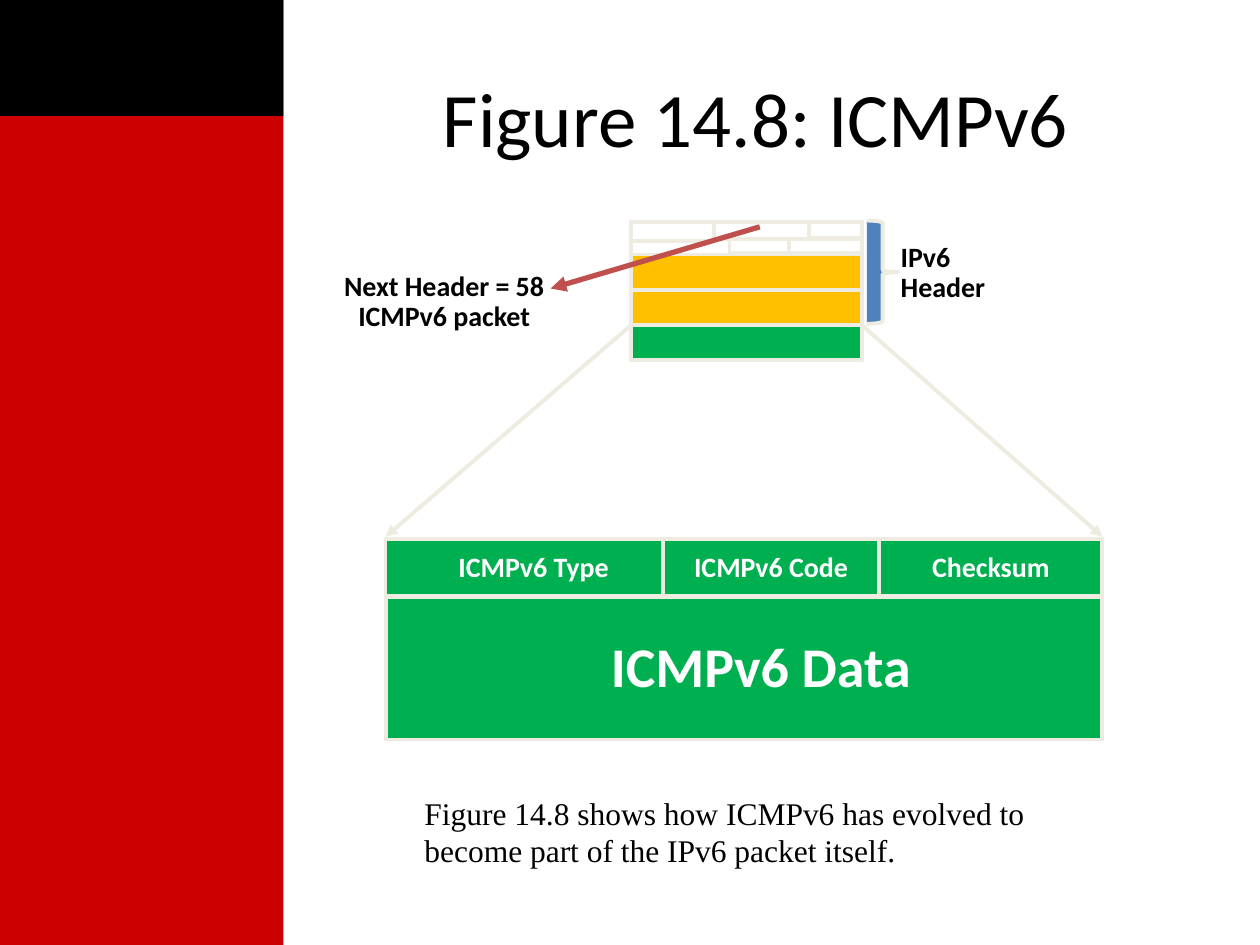
from dataclasses import dataclass
from itertools import accumulate

from lxml.etree import SubElement
from pptx import Presentation
from pptx.dml.color import RGBColor
from pptx.enum.shapes import MSO_CONNECTOR, MSO_SHAPE
from pptx.enum.text import MSO_ANCHOR, MSO_AUTO_SIZE, PP_ALIGN
from pptx.oxml.ns import qn
from pptx.util import Inches, Pt

BLACK = RGBColor(0x00, 0x00, 0x00)
WHITE = RGBColor(0xFF, 0xFF, 0xFF)
RED = RGBColor(0xCC, 0x00, 0x00)
GREEN = RGBColor(0x00, 0xB0, 0x50)
AMBER = RGBColor(0xFF, 0xC0, 0x00)
BLUE = RGBColor(0x4F, 0x81, 0xBD)
BRICK = RGBColor(0xC0, 0x50, 0x4D)
CREAM = RGBColor(0xEE, 0xEC, 0xE1)

PACKET_LEFT, PACKET_RIGHT = 5.01, 6.84
PACKET_WIDTH = PACKET_RIGHT - PACKET_LEFT
BAND_TOP, BAND_HEIGHT = 2.02, 0.28
MESSAGE_LEFT, MESSAGE_RIGHT = 3.06, 8.75
MESSAGE_TOP, FIELD_HEIGHT, DATA_HEIGHT = 4.28, 0.45, 1.13


@dataclass(frozen=True)
class Box:
    left: float
    top: float
    width: float
    height: float

    def lengths(self) -> list:
        return [Inches(v) for v in (self.left, self.top, self.width, self.height)]


@dataclass(frozen=True)
class Label:
    box: Box
    lines: tuple[str, ...]
    color: RGBColor
    size: float = 16
    align: PP_ALIGN = PP_ALIGN.LEFT


@dataclass(frozen=True)
class Arrow:
    start: tuple[float, float]
    end: tuple[float, float]
    color: RGBColor = CREAM
    width: float = 2.25


@dataclass(frozen=True)
class HeaderRow:
    """One row of the small IPv6 header: its field widths and heights."""
    top: float
    widths: tuple[float, ...]
    heights: tuple[float, ...]


LABELS = [
    Label(Box(4.75, 5.02, 2.59, 0.58), ("ICMPv6 Data",), WHITE, 32),
    Label(Box(3.54, 4.34, 1.4, 0.34), ("ICMPv6 Type",), WHITE),
    Label(Box(5.41, 4.34, 1.42, 0.34), ("ICMPv6 Code",), WHITE),
    Label(Box(7.3, 4.34, 1.13, 0.34), ("Checksum",), WHITE),
    Label(Box(2.63, 2.11, 1.79, 0.58), ("Next Header = 58", "ICMPv6 packet"),
          BLACK, align=PP_ALIGN.CENTER),
    Label(Box(7.05, 2, 1.31, 0.34), ("IPv6 Header",), BLACK),
]
ZOOM_ARROWS = [
    Arrow((PACKET_LEFT, 2.58), (MESSAGE_LEFT, 4.26)),
    Arrow((PACKET_RIGHT, 2.58), (MESSAGE_RIGHT, 4.26)),
]
NEXT_HEADER_ARROW = Arrow((6.03, 1.8), (4.37, 2.29), BRICK, 3)
HEADER_ROWS = [
    HeaderRow(1.9, (0.78, 0.47, 0.58), (0.12, 0.11, 0.11)),
    HeaderRow(1.76, (0.66, 0.75, 0.42), (0.15, 0.14, 0.13)),
]
MESSAGE_FIELD_WIDTHS = (2.2, 1.72, 1.77)


def set_font(font, **values) -> None:
    color = values.pop("color")
    for name, value in values.items():
        setattr(font, name, value)
    font.color.rgb = color


def add_box(slide, box: Box, fill: RGBColor, outlined: bool = True,
            preset: MSO_SHAPE = MSO_SHAPE.RECTANGLE):
    shape = slide.shapes.add_shape(preset, *box.lengths())
    shape.shadow.inherit = False
    shape.fill.solid()
    shape.fill.fore_color.rgb = fill
    if outlined:
        shape.line.color.rgb = CREAM
        shape.line.width = Pt(2.25)
    else:
        shape.line.fill.background()
    return shape


def add_field_row(slide, left: float, top: float, widths: tuple[float, ...],
                  heights: tuple[float, ...], fill: RGBColor) -> None:
    lefts = accumulate(widths, initial=left)
    for field_left, width, height in zip(lefts, widths, heights):
        add_box(slide, Box(field_left, top, width, height), fill)


def add_arrow(slide, arrow: Arrow) -> None:
    ends = [Inches(v) for v in (*arrow.start, *arrow.end)]
    connector = slide.shapes.add_connector(MSO_CONNECTOR.STRAIGHT, *ends)
    connector.line.color.rgb = arrow.color
    connector.line.width = Pt(arrow.width)
    SubElement(connector.line._get_or_add_ln(), qn("a:tailEnd"), type="triangle")
    SubElement(connector._element.spPr, qn("a:effectLst"))


def add_label(slide, label: Label) -> None:
    frame = slide.shapes.add_textbox(*label.box.lengths()).text_frame
    frame.word_wrap = False
    frame.auto_size = MSO_AUTO_SIZE.SHAPE_TO_FIT_TEXT
    frame.vertical_anchor = MSO_ANCHOR.MIDDLE
    frame.text = "\n".join(label.lines)
    for paragraph in frame.paragraphs:
        paragraph.alignment = label.align
        paragraph.line_spacing = 0.9
        set_font(paragraph.font, name="Calibri", size=Pt(label.size),
                 bold=True, color=label.color)


def add_title(slide) -> None:
    title = slide.shapes.title
    position = Box(2.5, 0.3, 7, 1.25).lengths()
    for name, value in zip(("left", "top", "width", "height"), position):
        setattr(title, name, value)
    frame = title.text_frame
    frame.text = "Figure 14.8: ICMPv6"
    frame.vertical_anchor = MSO_ANCHOR.MIDDLE
    paragraph = frame.paragraphs[0]
    paragraph.alignment = PP_ALIGN.CENTER
    set_font(paragraph.font, name="Calibri", size=Pt(44), color=BLACK)


def add_caption(slide) -> None:
    frame = slide.shapes.add_textbox(*Box(3.27, 6.25, 5.58, 0.7).lengths()).text_frame
    frame.word_wrap = True
    frame.auto_size = MSO_AUTO_SIZE.SHAPE_TO_FIT_TEXT
    frame.text = ("Figure 14.8 shows how ICMPv6 has evolved to "
                  "become part of the IPv6 packet itself.")
    set_font(frame.paragraphs[0].font, name="Times New Roman", size=Pt(18), color=BLACK)


def add_message(slide) -> None:
    """Draw the enlarged ICMPv6 message."""
    add_box(slide, Box(MESSAGE_LEFT, MESSAGE_TOP + FIELD_HEIGHT + 0.01,
                       MESSAGE_RIGHT - MESSAGE_LEFT, DATA_HEIGHT), GREEN)
    add_field_row(slide, MESSAGE_LEFT, MESSAGE_TOP, MESSAGE_FIELD_WIDTHS,
                  (FIELD_HEIGHT,) * 3, GREEN)


def add_packet(slide) -> None:
    """Draw the small IPv6 packet with its header brace."""
    for row, fill in ((2, GREEN), (0, AMBER), (1, AMBER)):
        top = BAND_TOP + row * BAND_HEIGHT
        add_box(slide, Box(PACKET_LEFT, top, PACKET_WIDTH, BAND_HEIGHT), fill)
    for row in HEADER_ROWS:
        add_field_row(slide, PACKET_LEFT, row.top, row.widths, row.heights, WHITE)
    brace = add_box(slide, Box(6.88, 1.75, 0.25, 0.82), BLUE,
                    preset=MSO_SHAPE.RIGHT_BRACE)
    brace.adjustments[0] = 0.08


def main() -> None:
    presentation = Presentation()
    presentation.slide_width, presentation.slide_height = Inches(10), Inches(7.5)
    slide = presentation.slides.add_slide(presentation.slide_layouts[5])
    add_box(slide, Box(0, 0, 2.25, 7.5), RED, outlined=False)
    add_box(slide, Box(0, 0, 2.25, 0.92), BLACK, outlined=False)
    add_title(slide)
    add_caption(slide)
    add_message(slide)
    for arrow in ZOOM_ARROWS:
        add_arrow(slide, arrow)
    add_packet(slide)
    add_arrow(slide, NEXT_HEADER_ARROW)
    for label in LABELS:
        add_label(slide, label)
    presentation.save("out.pptx")


if __name__ == "__main__":
    main()
